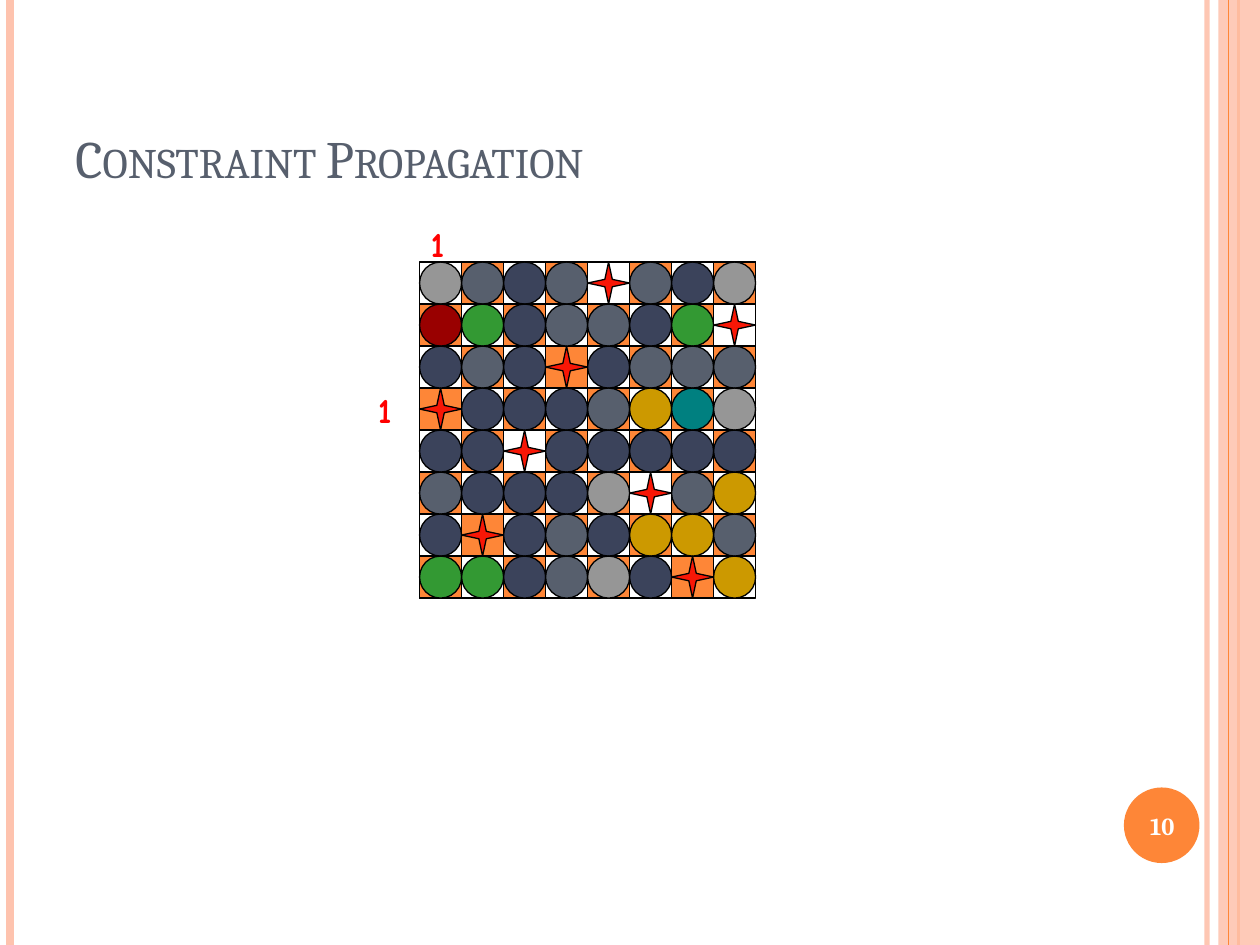
import pptx
import pptx.dml.color
import pptx.enum.shapes
import pptx.enum.text
import pptx.oxml
import pptx.oxml.ns
import pptx.util
from pptx.util import Inches

SHAPES = pptx.enum.shapes.MSO_SHAPE
ANCHOR = pptx.enum.text.MSO_ANCHOR
ALIGN = pptx.enum.text.PP_ALIGN

ORANGE, PEACH, SLATE, BLACK = "FE8637", "FEC3AE", "575F6D", "000000"
BOARD_LEFT, BOARD_TOP, CELL = 3.33, 2.08, 1 / 3

# One letter per square; * is a queen, the others are removed values
BOARD = [
    "GSDS*SDG",
    "RNDSSDN*",
    "DSD*DSSS",
    "*DDDSYTG",
    "DD*DDDDD",
    "SDDDG*SY",
    "D*DSDYYS",
    "NNDSGD*Y",
]
PIECE_COLORS = {
    "D": "3B435B", "S": SLATE, "G": "969696", "Y": "CC9900",
    "N": "339933", "R": "990000", "T": "008080", "*": "F81706",
}


def rgb(color):
    return pptx.dml.color.RGBColor.from_string(color)


def set_opacity(shape, percent):
    """Make the first colour of a shape or line partly transparent."""
    color = shape._element.spPr.find(".//" + pptx.oxml.ns.qn("a:srgbClr"))
    alpha = pptx.oxml.parse_xml(
        f'<a:alpha {pptx.oxml.ns.nsdecls("a")} val="{percent * 1000}"/>')
    color.append(alpha)


def add_shape(shapes, kind, left, top, width, height, fill=None, line=None):
    shape = shapes.add_shape(
        kind, Inches(left), Inches(top), Inches(width), Inches(height))
    shape.shadow.inherit = False
    if fill:
        shape.fill.solid()
        shape.fill.fore_color.rgb = rgb(fill)
    else:
        shape.fill.background()
    if line:
        shape.line.color.rgb = rgb(line)
        shape.line.width = pptx.util.Pt(0.75)
    else:
        shape.line.fill.background()
    return shape


def add_vertical_line(slide, x, color, width):
    line = slide.shapes.add_connector(
        pptx.enum.shapes.MSO_CONNECTOR.STRAIGHT,
        Inches(x), Inches(0), Inches(x), Inches(7.5))
    line.line.color.rgb = rgb(color)
    line.line.width = pptx.util.Pt(width)
    line._element.spPr.append(pptx.oxml.parse_xml(
        f'<a:effectLst {pptx.oxml.ns.nsdecls("a")}/>'))
    return line


def add_text(slide, text, left, top, width, height, font, size, color,
             bold=False, anchor=ANCHOR.MIDDLE, align=ALIGN.LEFT):
    box = slide.shapes.add_textbox(
        Inches(left), Inches(top), Inches(width), Inches(height))
    frame = box.text_frame
    frame.word_wrap = True
    frame.vertical_anchor = anchor
    paragraph = frame.paragraphs[0]
    paragraph.alignment = align
    run = paragraph.add_run()
    run.text = text
    run.font.name = font
    run.font.size = pptx.util.Pt(size)
    run.font.bold = bold
    run.font.color.rgb = rgb(color)
    return run


def add_frame(slide):
    """Side stripes and the page number badge."""
    set_opacity(add_vertical_line(slide, 9.58, PEACH, 3), 93)
    add_vertical_line(slide, 0.08, PEACH, 4.5)
    add_vertical_line(slide, 9.83, ORANGE, 1.5)
    band = add_shape(slide.shapes, SHAPES.RECTANGLE, 9.67, 0, 0.33, 7.5, PEACH)
    set_opacity(band, 87)
    add_vertical_line(slide, 9.75, ORANGE, 0.75)
    add_shape(slide.shapes, SHAPES.OVAL, 8.92, 6.25, 0.6, 0.6, ORANGE)
    add_text(slide, "10", 8.89, 6.27, 0.67, 0.57, "Cambria", 14, "FFFFFF",
             bold=True, align=ALIGN.CENTER)


def add_cell(shapes, kind, row, column, fill):
    return add_shape(shapes, kind, BOARD_LEFT + column * CELL,
                     BOARD_TOP + row * CELL, CELL, CELL, fill, BLACK)


def add_board(slide):
    """Outline and the dark squares of the checkerboard."""
    squares = slide.shapes.add_group_shape().shapes
    size = len(BOARD)
    add_shape(squares, SHAPES.RECTANGLE, BOARD_LEFT, BOARD_TOP,
              size * CELL, size * CELL, line=BLACK)
    for row in range(size):
        for column in range((row + 1) % 2, size, 2):
            add_cell(squares, SHAPES.RECTANGLE, row, column, ORANGE)


def add_pieces(slide):
    for row, letters in enumerate(BOARD):
        for column, letter in enumerate(letters):
            is_queen = letter == "*"
            kind = SHAPES.STAR_4_POINT if is_queen else SHAPES.OVAL
            piece = add_cell(slide.shapes, kind, row, column,
                             PIECE_COLORS[letter])
            if is_queen:
                piece.adjustments[0] = 0.125


def main():
    presentation = pptx.Presentation()
    presentation.slide_width = Inches(10)
    presentation.slide_height = Inches(7.5)
    slide = presentation.slides.add_slide(presentation.slide_layouts[6])

    add_frame(slide)
    title = add_text(slide, "Constraint Propagation", 0.5, 0.3, 8.17, 1.25,
                     "Cambria", 30, SLATE, anchor=ANCHOR.BOTTOM)
    title.font._element.set("cap", "small")

    add_board(slide)
    add_pieces(slide)

    # Row and column labels
    for left, top in ((2.9, 3.03), (3.32, 1.71)):
        add_text(slide, "1", left, top, 0.37, 0.44, "Comic Neue", 20,
                 "FF0000", bold=True)

    presentation.save("out.pptx")


if __name__ == "__main__":
    main()
